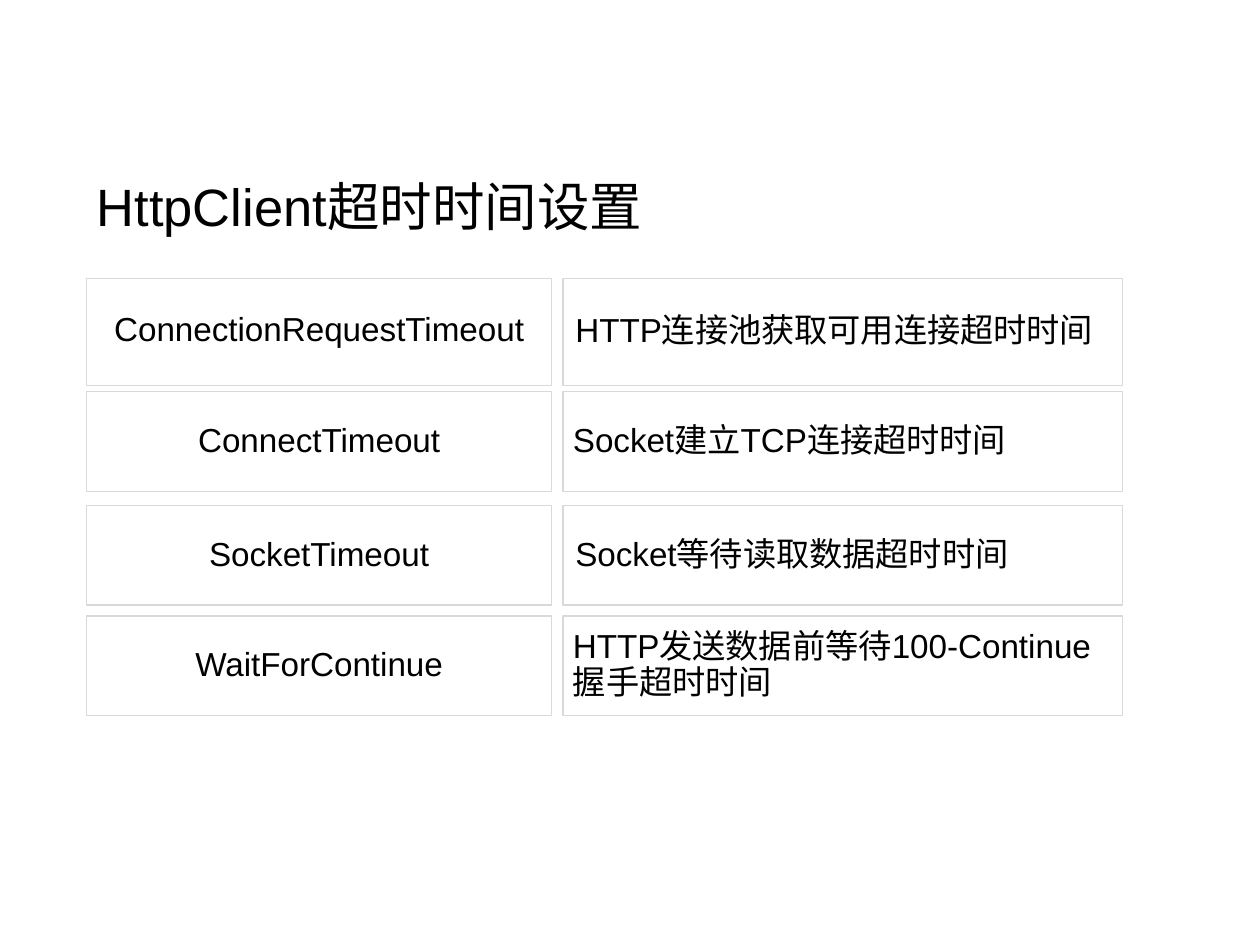
from pptx import Presentation
from pptx.dml.color import RGBColor
from pptx.enum.shapes import MSO_SHAPE
from pptx.enum.text import MSO_ANCHOR, PP_ALIGN
from pptx.util import Cm, Pt

RECT = MSO_SHAPE.RECTANGLE
MIDDLE = MSO_ANCHOR.MIDDLE
LEFT, CENTER = PP_ALIGN.LEFT, PP_ALIGN.CENTER
BLACK = RGBColor(0x00, 0x00, 0x00)
GREY = RGBColor(0xD9, 0xD9, 0xD9)


def write(shape, text, size, align, space, side, edge):
    frame = shape.text_frame
    frame.text = text
    para = frame.paragraphs[0]
    looks = [
        (frame, {"word_wrap": True, "vertical_anchor": MIDDLE,
                 "margin_left": Cm(side), "margin_right": Cm(side),
                 "margin_top": Cm(edge), "margin_bottom": Cm(edge)}),
        (para, {"alignment": align, "line_spacing": space,
                "space_before": Pt(0)}),
        (para.runs[0].font, {"name": "Arial", "size": Pt(size)}),
    ]
    for item, look in looks:
        for key, value in look.items():
            setattr(item, key, value)
    para.runs[0].font.color.rgb = BLACK


deck = Presentation()
deck.slide_width, deck.slide_height = Cm(25.4), Cm(19.05)
slide = deck.slides.add_slide(deck.slide_layouts[5])

title = slide.shapes.title
place = {"left": 1.75, "top": 3.2, "width": 21.9, "height": 2.06}
for key, value in place.items():
    setattr(title, key, Cm(value))
write(title, "HttpClient超时时间设置", 30, LEFT, 0.9, 0.2, 0.1)

rows = [
    (5.61, 2.16, 0.8, 0.25, 0.13, "ConnectionRequestTimeout",
     "HTTP连接池获取可用连接超时时间"),
    (7.9, 2.01, 0.9, 0.2, 0.1, "ConnectTimeout",
     "Socket建立TCP连接超时时间"),
    (10.19, 2.01, 0.9, 0.25, 0.13, "SocketTimeout",
     "Socket等待读取数据超时时间"),
    (12.42, 2.01, 0.9, 0.2, 0.1, "WaitForContinue",
     "HTTP发送数据前等待100-Continue握手超时时间"),
]
for top, height, space, side, edge, name, note in rows:
    cells = [
        (1.75, 9.37, name, CENTER, space, 0.2, 0.1),
        (11.35, 11.28, note, LEFT, 0.9, side, edge),
    ]
    for left, width, text, *look in cells:
        box = slide.shapes.add_shape(
            RECT, Cm(left), Cm(top), Cm(width), Cm(height))
        box.shadow.inherit = False
        box.fill.background()
        box.line.color.rgb = GREY
        box.line.width = Pt(0.75)
        write(box, text, 19, *look)

deck.save("out.pptx")
